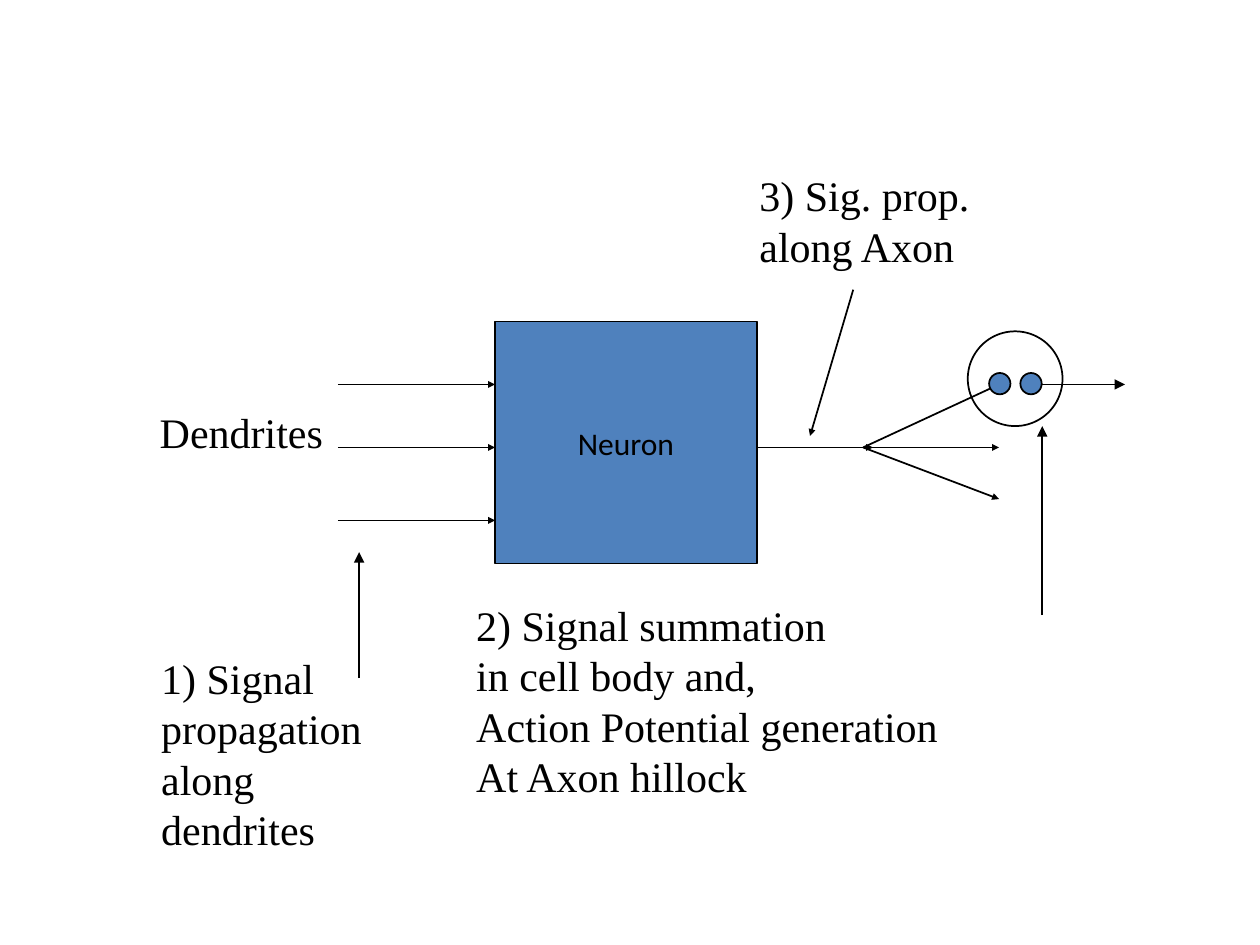
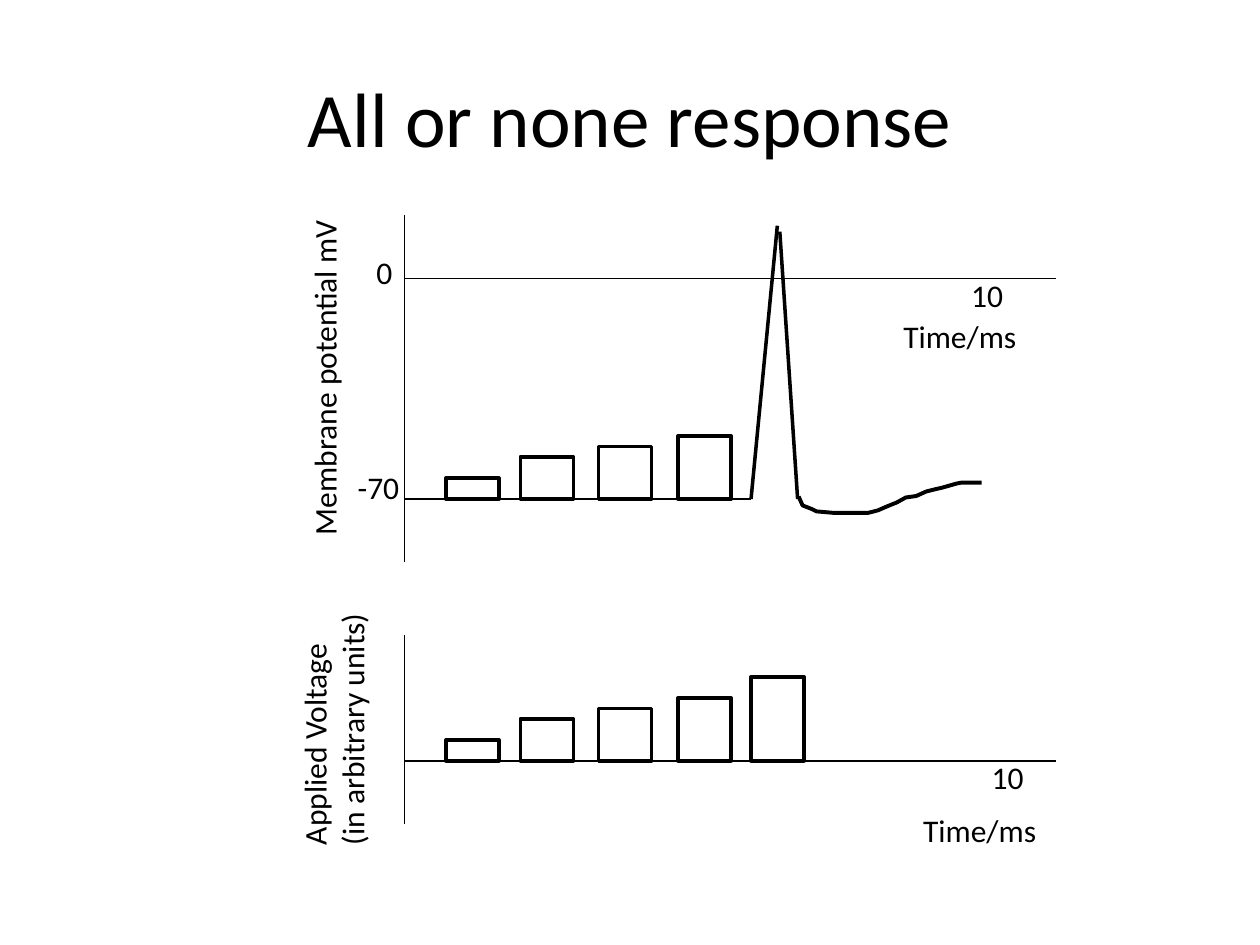
from pptx import Presentation, util as u
from pptx.dml.color import RGBColor
from pptx.enum import shapes, text
from pptx.oxml.ns import qn
from lxml import etree

BLACK, WHITE, BLUE = "000000", "FFFFFF", "4F81BD"
SERIF, SANS = "Times New Roman", "Calibri"
RECT, OVAL = shapes.MSO_SHAPE.RECTANGLE, shapes.MSO_SHAPE.OVAL
TITLE_ONLY, BLANK = 5, 6


def color(value):
    return RGBColor.from_string(value)


def write(tf, content, size=18, font=SANS, align=text.PP_ALIGN.LEFT,
          anchor=text.MSO_ANCHOR.TOP, wrap=False):
    tf.word_wrap = wrap
    tf.vertical_anchor = anchor
    for i, row in enumerate(content.split("\n")):
        p = tf.paragraphs[0] if i == 0 else tf.add_paragraph()
        p.alignment = align
        r = p.add_run()
        r.text = row
        r.font.size = u.Pt(size)
        r.font.name = font
        r.font.color.rgb = color(BLACK)


class Deck:
    centred = dict(align=text.PP_ALIGN.CENTER, anchor=text.MSO_ANCHOR.MIDDLE)

    def __init__(self):
        self.prs = Presentation()
        self.prs.slide_width, self.prs.slide_height = u.Cm(25.4), u.Cm(19.05)
        self.s = None

    def slide(self, title=None):
        layout = BLANK if title is None else TITLE_ONLY
        self.s = self.prs.slides.add_slide(self.prs.slide_layouts[layout])
        if title is not None:
            sp = self.s.shapes.title
            sp.left, sp.top = u.Cm(1.27), u.Cm(0.76)
            sp.width, sp.height = u.Cm(22.86), u.Cm(3.18)
            write(sp.text_frame, title, size=44, wrap=True, **self.centred)

    def outline(self, sp, fill, weight):
        sp.shadow.inherit = False
        if fill:
            sp.fill.solid()
            sp.fill.fore_color.rgb = color(fill)
        else:
            sp.fill.background()
        sp.line.color.rgb = color(BLACK)
        sp.line.width = u.Pt(weight)

    def shape(self, kind, x, y, w, h, fill=None, weight=1, label=None):
        sp = self.s.shapes.add_shape(kind, u.Cm(x), u.Cm(y), u.Cm(w), u.Cm(h))
        self.outline(sp, fill, weight)
        if label:
            write(sp.text_frame, label, **self.centred)

    def label(self, content, x, y, w, h=1.02, rotation=0, **style):
        sp = self.s.shapes.add_textbox(u.Cm(x), u.Cm(y), u.Cm(w), u.Cm(h))
        sp.rotation = rotation
        write(sp.text_frame, content, **style)
        sp.text_frame.auto_size = text.MSO_AUTO_SIZE.SHAPE_TO_FIT_TEXT

    def line(self, x1, y1, x2, y2, weight=0.75):
        c = self.s.shapes.add_connector(
            shapes.MSO_CONNECTOR.STRAIGHT, u.Cm(x1), u.Cm(y1), u.Cm(x2), u.Cm(y2))
        c.line.color.rgb = color(BLACK)
        c.line.width = u.Pt(weight)
        etree.SubElement(c._element.spPr, qn("a:effectLst"))
        return c

    def arrow(self, x1, y1, x2, y2, head="sm"):
        ln = self.line(x1, y1, x2, y2, weight=1).line._get_or_add_ln()
        etree.SubElement(ln, qn("a:tailEnd"), type="triangle", w=head, len=head)

    def curve(self, points, weight):
        (x, y), *rest = [(u.Cm(a), u.Cm(b)) for a, b in points]
        builder = self.s.shapes.build_freeform(x, y)
        builder.add_line_segments(rest, close=False)
        self.outline(builder.convert_to_shape(), None, weight)

    def bars(self, base, columns):
        for x, h in columns:
            self.shape(RECT, x, base - h, 1.07, h, fill=WHITE, weight=2)


def neuron_slide(d):
    d.slide()
    notes = dict(size=24, font=SERIF)
    axon_y, tip_y = 9.02, 7.75
    fork_x, branch_x = 17.4, 20.14

    d.label("Dendrites", 2.97, 8.08, 3.81, 1.27, **notes)
    d.label("1) Signal\npropagation\nalong dendrites", 3, 13.03, 5.69, 3.3, **notes)
    d.shape(RECT, 9.98, 6.48, 5.28, 4.88, fill=BLUE, label="Neuron")
    for y in (tip_y, axon_y, 10.49):
        d.arrow(6.81, y, 9.98, y)
    d.arrow(15.29, axon_y, 17.6, axon_y)
    for y in (tip_y, axon_y, 10.06):
        d.arrow(fork_x, axon_y, branch_x, y)
    d.label("3) Sig. prop. along Axon", 15.06, 3.3, 5.08, 2.29, wrap=True, **notes)
    d.arrow(17.2, 5.84, 16.33, 8.79)
    d.arrow(7.24, 13.67, 7.24, 11.13, head="med")
    d.label("2) Signal summation\nin cell body and,\nAction Potential generation\n"
            "At Axon hillock", 9.35, 11.96, 9.91, 5.38, **notes)
    for x in (19.94, 20.57):
        d.shape(OVAL, x, 7.52, 0.43, 0.43, fill=BLUE)
    d.shape(OVAL, 19.51, 6.68, 1.91, 1.91)
    d.arrow(21.01, tip_y, 22.68, tip_y, head="med")
    d.arrow(21.01, 12.4, 21.01, 8.59, head="med")


def response_slide(d):
    d.slide("All or none response")
    axis_x, axis_end, spike_x = 8.15, 21.29, 15.14
    rest_y, voltage_y = 10.06, 15.34
    stimuli = [(8.99, 0.42), (10.49, 0.85), (12.07, 1.06), (13.67, 1.27),
               (spike_x, 1.69)]
    recovery = [(16.1, 10.01), (16.18, 10.19), (16.36, 10.26), (16.46, 10.31),
                (16.81, 10.34), (17.5, 10.34), (17.7, 10.29), (17.88, 10.21),
                (18.08, 10.13), (18.26, 10.03), (18.47, 10), (18.67, 9.91),
                (18.87, 9.86), (19, 9.83), (19.28, 9.75), (19.38, 9.73),
                (19.79, 9.73)]

    for y, top, bottom, columns in ((voltage_y, 12.8, 16.61, stimuli),
                                    (5.61, 4.34, 11.33, [])):
        d.line(axis_x, y, axis_end, y)
        d.line(axis_x, top, axis_x, bottom)
        d.bars(y, columns)
    d.bars(rest_y, stimuli[:-1])
    d.line(axis_x, rest_y, spike_x, rest_y)
    d.line(spike_x, rest_y, 15.67, 4.55, weight=2)
    d.line(16.08, rest_y, 15.72, 4.67, weight=2)
    d.curve(recovery, 2.25)

    for x, y in ((17.96, 6.27), (18.36, 16.23)):
        d.label("Time/ms", x, y, 2.82)
    d.label("Membrane potential mV", 3.07, 7.06, 6.93, rotation=270)
    d.label("Applied Voltage\n(in arbitrary units)", 4.11, 13.77, 5.23, 1.8,
            rotation=270)
    d.label("0", 7.34, 4.98, 0.84)
    d.label("-70", 6.96, 9.32, 1.37)
    for x, y in ((19.33, 5.44), (19.74, 15.16)):
        d.label("10", x, y, 1.17)


def main():
    d = Deck()
    neuron_slide(d)
    response_slide(d)
    d.prs.save("out.pptx")


if __name__ == "__main__":
    main()
